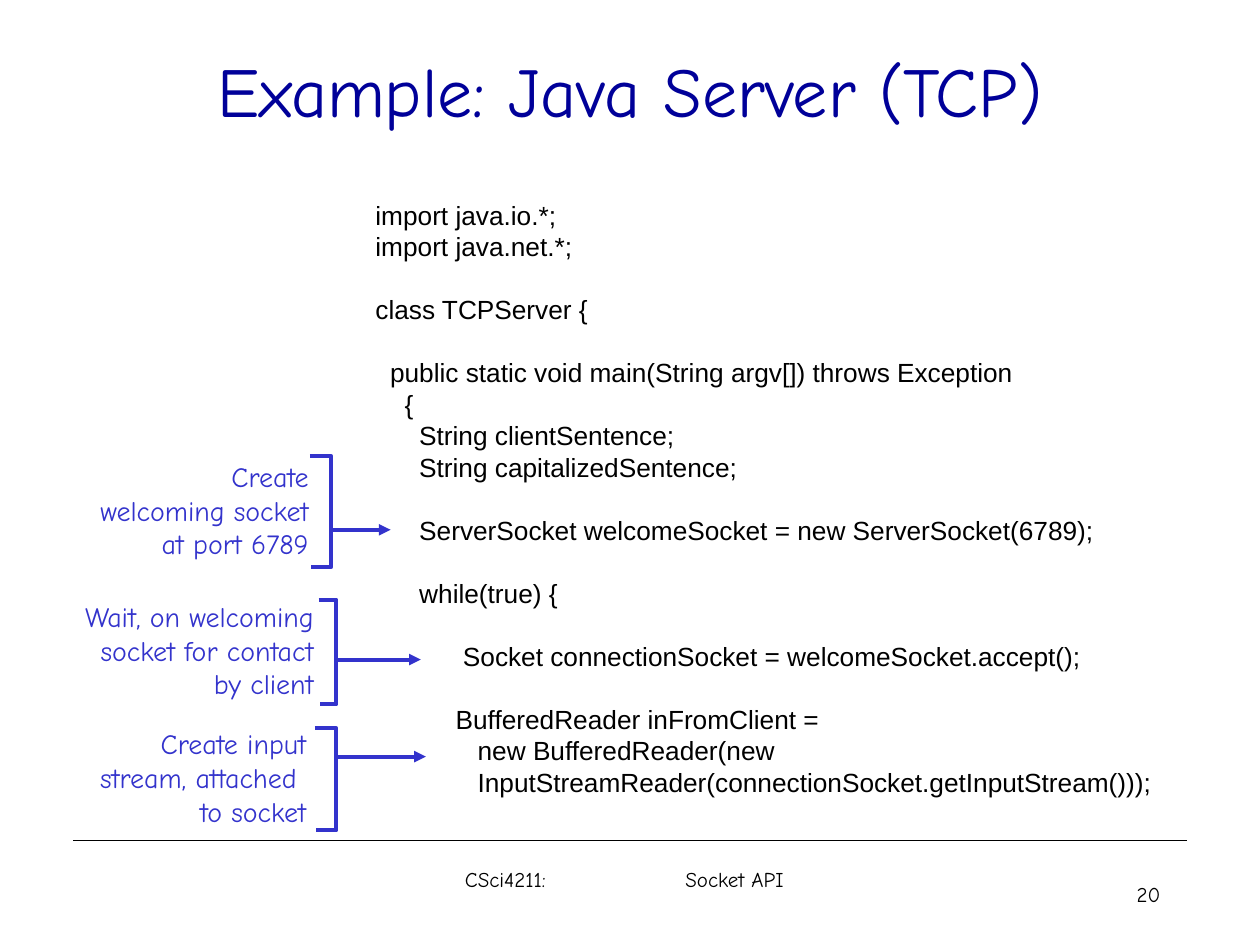
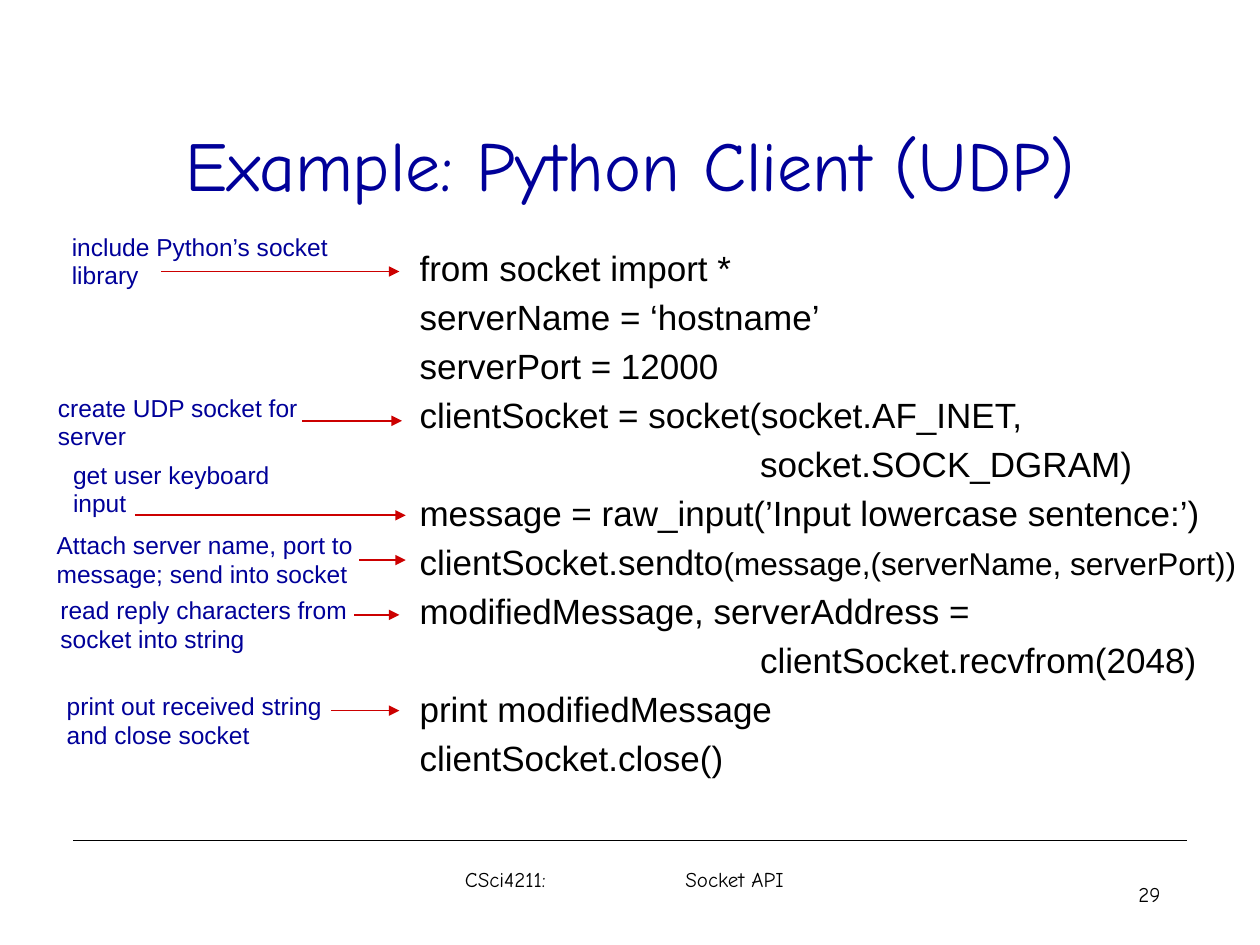
from pptx import Presentation
from pptx.dml.color import RGBColor
from pptx.enum.shapes import MSO_CONNECTOR
from pptx.enum.text import MSO_ANCHOR, PP_ALIGN
from pptx.oxml.ns import qn
from pptx.util import Inches, Pt
from lxml import etree

STRAIGHT = MSO_CONNECTOR.STRAIGHT
TOP, MIDDLE = MSO_ANCHOR.TOP, MSO_ANCHOR.MIDDLE
LEFT, CENTER, RIGHT = PP_ALIGN.LEFT, PP_ALIGN.CENTER, PP_ALIGN.RIGHT
WIDTH, HEIGHT = Inches(10), Inches(7.5)
COLS, ROWS = 100, 75
SANS, HAND = "Arial", "Comic Neue"
BLACK, NAVY, BLUE, RED = "000000", "000099", "3333CC", "CC0000"
SPACE = 0.278  # width of an Arial space, in ems

# Each code line: indent in spaces, empty lines above, text
JAVA = [
    (0, 0, "import java.io.*;"),
    (0, 0, "import java.net.*;"),
    (0, 1, "class TCPServer {"),
    (2, 1, "public static void main(String argv[]) throws Exception"),
    (4, 0, "{"),
    (6, 0, "String clientSentence;"),
    (6, 0, "String capitalizedSentence;"),
    (6, 1, "ServerSocket welcomeSocket = new ServerSocket(6789);"),
    (6, 1, "while(true) {"),
    (12, 1, "Socket connectionSocket = welcomeSocket.accept();"),
    (11, 1, "BufferedReader inFromClient ="),
    (14, 0, "new BufferedReader(new"),
    (14, 0, "InputStreamReader(connectionSocket.getInputStream()));"),
]
PYTHON = [
    (0, 0, "from socket import *"),
    (0, 0, "serverName = ‘hostname’"),
    (0, 0, "serverPort = 12000"),
    (0, 0, "clientSocket = socket(socket.AF_INET,"),
    (35, 0, "socket.SOCK_DGRAM)"),
    (0, 0, "message = raw_input(’Input lowercase sentence:’)"),
    (0, 0, "clientSocket.sendto"),
    (0, 0, "modifiedMessage, serverAddress ="),
    (35, 0, "clientSocket.recvfrom(2048)"),
    (0, 0, "print modifiedMessage"),
    (0, 0, "clientSocket.close()"),
]
SEND = 6
# Text right, text top, bracket (left, top, right, bottom), arrow (row, end), lines
STEPS = [
    (24.5, 36.5, (24.6, 36.2, 26.3, 45), (42.05, 31),
     ["Create", "welcoming socket", "at port 6789"]),
    (24.9, 47.6, (25.3, 47.6, 26.7, 55.9), (52.35, 33.4),
     ["Wait, on welcoming", "socket for contact", "by client"]),
    (24.3, 57.7, (25, 57.8, 26.7, 65.9), (60.05, 33.8),
     ["Create input", "stream, attached ", "to socket"]),
]
# Text left, text top, leading, arrow (start, row, end), lines
NOTES = [
    (5.7, 18.5, 16, (12.8, 21.55, 31.7), ["include Python’s socket", "library"]),
    (4.6, 31.2, 16.5, (24, 33.4, 31.9), ["create UDP socket for server"]),
    (5.8, 36.6, 16, (10.7, 40.9, 32.2), ["get user keyboard", "input"]),
    (4.5, 42, 17, (28.5, 44.45, 32.2),
     ["Attach server name, port to message; send into socket"]),
    (4.8, 47.3, 16.5, (28.1, 48.8, 31.7),
     ["read reply characters from", "socket into string"]),
    (5.3, 54.9, 16.5, (26.3, 56.4, 31.7),
     ["print out received string and close socket"]),
]


def rgb(hex):
    return RGBColor.from_string(hex)


def col(n):
    return round(WIDTH * n / COLS)


def row(n):
    return round(HEIGHT * n / ROWS)


class Deck:
    """Holds the shared style and the slide being built."""

    def __init__(self):
        self.prs = Presentation()
        self.prs.slide_width, self.prs.slide_height = WIDTH, HEIGHT
        self.base = self.prs.slide_layouts[5]
        self.slide = None

    def new(self, title, top, high, page):
        self.slide = self.prs.slides.add_slide(self.base)
        if len(self.prs.slides) == 1:
            rule = self.line(5.8, 66.7, 94.2, BLACK, 0.75)
            self.base.shapes.element.append(rule._element)
        head = self.slide.shapes.title
        head.left, head.top = col(7.5), row(top)
        head.width, head.height = col(85), row(high)
        frame = head.text_frame
        frame.text = title
        frame.vertical_anchor = MIDDLE
        self.font(frame.paragraphs[0], 40, HAND, NAVY, CENTER)
        self.text(72, 70, 20.1, 3, [page], 12, HAND, BLACK, RIGHT)
        foot = self.text(36.9, 68.8, 28, 4, ["CSci4211:\tSocket API"], 12, HAND, BLACK)
        tabs = etree.SubElement(foot.paragraphs[0]._p.get_or_add_pPr(), qn("a:tabLst"))
        etree.SubElement(tabs, qn("a:tab"), pos=str(col(17.5)), algn="l")

    def font(self, para, size, face, color, align=LEFT):
        para.alignment = align
        for run in para.runs:
            run.font.size, run.font.name = Pt(size), face
            run.font.color.rgb = rgb(color)

    def text(self, x, y, w, h, lines, size, face, color, align=LEFT, lead=None):
        box = self.slide.shapes.add_textbox(col(x), row(y), col(w), row(h))
        frame = box.text_frame
        frame.word_wrap, frame.vertical_anchor = True, TOP
        frame.margin_left = frame.margin_right = 0
        frame.margin_top = frame.margin_bottom = 0
        frame.text = "\n".join(lines)
        for para in frame.paragraphs:
            self.font(para, size, face, color, align)
            if lead:
                para.line_spacing = Pt(lead)
        return frame

    def code(self, x, y, w, h, lines, size, lead):
        frame = self.text(x, y, w, h, [part[2] for part in lines],
                          size, SANS, BLACK, lead=lead)
        for para, (pad, gap, _) in zip(frame.paragraphs, lines):
            para.space_before = Pt(gap * lead)
            prop = para._p.get_or_add_pPr()
            prop.set("marL", str(Pt(pad * SPACE * size)))
            prop.set("indent", "0")
        return frame

    def line(self, x, y, end, color, width):
        link = self.slide.shapes.add_connector(STRAIGHT, col(x), row(y), col(end), row(y))
        link.line.color.rgb, link.line.width = rgb(color), Pt(width)
        etree.SubElement(link._element.spPr, qn("a:effectLst"))
        return link

    def arrow(self, x, y, end, color, width):
        link = self.line(x, y, end, color, width)
        etree.SubElement(link.line._get_or_add_ln(), qn("a:tailEnd"), type="triangle")

    def brace(self, x, y, end, low, color, width):
        """Draw a square bracket that opens to the left."""
        build = self.slide.shapes.build_freeform(col(x), row(y))
        build.add_line_segments(
            [(col(end), row(y)), (col(end), row(low)), (col(x + 0.1), row(low))],
            close=False)
        shape = build.convert_to_shape()
        shape.shadow.inherit = False
        shape.fill.background()
        shape.line.color.rgb, shape.line.width = rgb(color), Pt(width)


def server(deck):
    deck.new("Example: Java Server (TCP)", 0, 14.2, "20")
    deck.code(29.8, 15.8, 66, 52.5, JAVA, 15, 18)
    for right, top, brace, (y, end), lines in STEPS:
        deck.text(right - 20, top, 20, 8, lines, 16, HAND, BLUE, RIGHT, 19.2)
        deck.brace(*brace, BLUE, 2.25)
        deck.arrow(brace[2], y, end, BLUE, 2.25)


def client(deck):
    deck.new("Example: Python Client (UDP)", 6.7, 12.5, "29")
    frame = deck.code(33.3, 19, 66.5, 42.8, PYTHON, 20, 28)
    para = frame.paragraphs[SEND]
    para.add_run().text = "(message,(serverName, serverPort))"
    deck.font(para, 18, SANS, BLACK)
    para.runs[0].font.size = Pt(20)
    for x, y, lead, arrow, lines in NOTES:
        deck.text(x, y, 23.7, 4.7, lines, 14, SANS, NAVY, lead=lead)
        deck.arrow(*arrow, RED, 1)


def main():
    deck = Deck()
    server(deck)
    client(deck)
    deck.prs.save("out.pptx")


if __name__ == "__main__":
    main()
